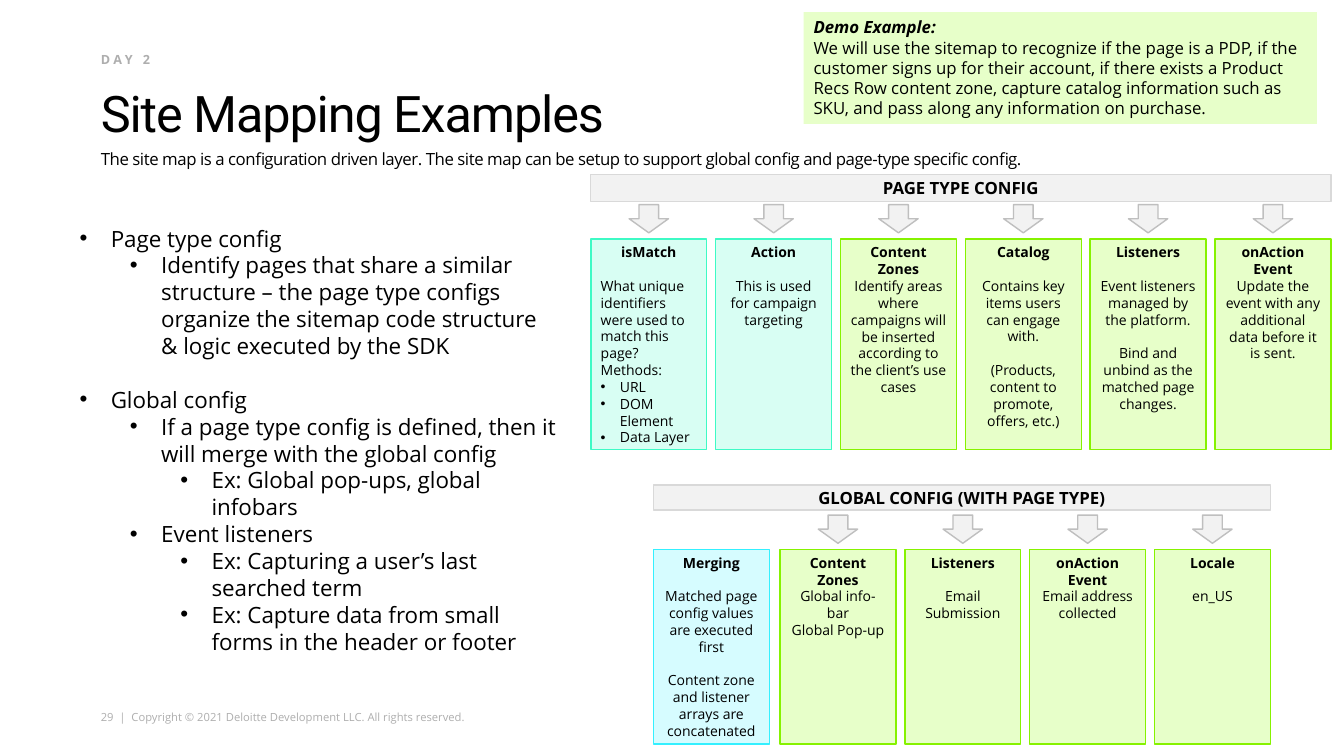
from lxml.etree import SubElement
from pptx import Presentation
from pptx.dml.color import RGBColor
from pptx.enum.shapes import MSO_SHAPE
from pptx.enum.text import MSO_ANCHOR, PP_ALIGN
from pptx.oxml.ns import qn
from pptx.util import Inches, Pt

MINT, LIME, CYAN = ("D8FEF3", "3EFAC5"), ("E7FFC9", "86F200"), ("D6FCFF", "34F0FF")
BAND, ARROW = ("F2F2F2", "D9D9D9"), ("F2F2F2", "BFBFBF")
GAP = {"before": 12}
LEFT = {"align": PP_ALIGN.LEFT}
BULLET = {**LEFT, "level": 0, "indent": 0.19, "hang": 0.19}
LEVELS = [{"level": level, "indent": 0.31 + 0.5 * level, "hang": 0.31} for level in range(3)]

HEADINGS = [
    ((1, 0.51, 3.67, 0.22), "DAY 2", {"size": 9, "color": "AEAEAE", "bold": True, "tracking": 2.5}),
    ((1, 0.76, 11.33, 0.65), "Site Mapping Examples",
     {"size": 36, "font": "Roboto", "tracking": -0.8, "spacing": 0.8, "anchor": MSO_ANCHOR.BOTTOM,
      "margins": (0, 0.05, 0, 0)}),
    ((1, 1.48, 11.33, 0.52),
     "The site map is a configuration driven layer. The site map can be setup to support "
     "global config and page-type specific config.", {"size": 12, "tracking": -0.3}),
    ((1, 7.05, 3.66, 0.13), "29  |  Copyright © 2021 Deloitte Development LLC. All rights reserved.",
     {"size": 8, "color": "AEAEAE", "wrap": False}),
]
OUTLINE = [
    ("Page type config", LEVELS[0]),
    ("Identify pages that share a similar structure – the page type configs organize "
     "the sitemap code structure & logic executed by the SDK", LEVELS[1]),
    ("Global config", {**LEVELS[0], "before": 19.2}),
    ("If a page type config is defined, then it will merge with the global config", LEVELS[1]),
    ("Ex: Global pop-ups, global infobars", LEVELS[2]),
    ("Event listeners", LEVELS[1]),
    ("Ex: Capturing a user’s last searched term", LEVELS[2]),
    ("Ex: Capture data from small forms in the header or footer", LEVELS[2]),
]
DEMO = [
    ("Demo Example:", {"bold": True, "italic": True}),
    ("We will use the sitemap to recognize if the page is a PDP, if the customer signs up for "
     "their account, if there exists a Product Recs Row content zone, capture catalog information "
     "such as SKU, and pass along any information on purchase.", {}),
]
PAGE_CARDS = [
    ("isMatch", MINT, [
        ("What unique identifiers were used to match this page?", {**LEFT, **GAP}),
        ("Methods:", LEFT), ("URL", BULLET), ("DOM Element", BULLET), ("Data Layer", BULLET)]),
    ("Action", MINT, [("This is used for campaign targeting", GAP)]),
    ("Content Zones", LIME, [
        ("Identify areas where campaigns will be inserted according to the client’s use cases", {})]),
    ("Catalog", LIME, [
        ("Contains key items users can engage with.", GAP),
        ("(Products, content to promote, offers, etc.)", GAP)]),
    ("Listeners", LIME, [
        ("Event listeners managed by the platform.", GAP),
        ("Bind and unbind as the matched page changes.", GAP)]),
    ("onAction Event", LIME, [("Update the event with any additional data before it is sent.", {})]),
]
GLOBAL_CARDS = [
    ("Merging", CYAN, [
        ("Matched page config values are executed first", GAP),
        ("Content zone and listener arrays are concatenated", GAP)]),
    ("Content Zones", LIME, [("Global info-bar", {}), ("Global Pop-up", {})]),
    ("Listeners", LIME, [("Email Submission", GAP)]),
    ("onAction Event", LIME, [("Email address collected", {})]),
    ("Locale", LIME, [("en_US", GAP)]),
]
GROUPS = [
    {"title": "PAGE TYPE CONFIG", "band": (5.86, 1.73, 7.34, 0.27), "card_top": 2.37,
     "card_height": 2.09, "cards": PAGE_CARDS, "first_arrow": 0},
    {"title": "GLOBAL CONFIG (WITH PAGE TYPE)", "band": (6.48, 4.81, 6.12, 0.25), "card_top": 5.45,
     "card_height": 1.93, "cards": GLOBAL_CARDS, "first_arrow": 1},
]
CARD_WIDTH, CARD_PITCH = 1.15, 1.238
ARROW_LENGTH, ARROW_SPAN, ARROW_RISE = 0.28, 0.39, 0.2


def color(value):
    return RGBColor.from_string(value)


def add_paragraph(paragraph, content, size=10, font="Open Sans", color_hex="000000", bold=False,
                  italic=False, tracking=0, align=PP_ALIGN.LEFT, before=0, spacing=None,
                  level=0, indent=0, hang=0):
    properties = paragraph._p.get_or_add_pPr()
    if hang:
        properties.set("marL", str(Inches(indent)))
        properties.set("indent", str(-Inches(hang)))
        SubElement(properties, qn("a:buFont"), typeface="Arial")
        SubElement(properties, qn("a:buChar"), char="•")
    paragraph.level, paragraph.alignment = level, align
    paragraph.space_before = Pt(before)
    if spacing:
        paragraph.line_spacing = spacing
    run = paragraph.add_run()
    run.text = content
    run.font.size, run.font.name = Pt(size), font
    run.font.bold, run.font.italic = bold, italic
    run.font.color.rgb = color(color_hex)
    if tracking:
        run._r.get_or_add_rPr().set("spc", str(round(tracking * 100)))


def write(shape, paragraphs, anchor=MSO_ANCHOR.TOP, margins=(0.1, 0.05, 0.1, 0.05), wrap=True,
          color="000000", **style):
    frame = shape.text_frame
    frame.word_wrap, frame.vertical_anchor = wrap, anchor
    frame.margin_left, frame.margin_top, frame.margin_right, frame.margin_bottom = map(Inches, margins)
    for index, (content, override) in enumerate(paragraphs):
        paragraph = frame.add_paragraph() if index else frame.paragraphs[0]
        add_paragraph(paragraph, content, **{"color_hex": color, **style, **override})


def add_box(slide, box, fill, line=None, kind=MSO_SHAPE.RECTANGLE):
    shape = slide.shapes.add_shape(kind, *map(Inches, box))
    shape.shadow.inherit = False
    shape.fill.solid()
    shape.fill.fore_color.rgb = color(fill)
    if line:
        shape.line.color.rgb = color(line)
        shape.line.width = Pt(1)
    else:
        shape.line.fill.background()
    return shape


def add_group(slide, title, band, card_top, card_height, cards, first_arrow):
    write(add_box(slide, band, *BAND), [(title, {})], size=12, bold=True,
          align=PP_ALIGN.CENTER, anchor=MSO_ANCHOR.MIDDLE)
    last_left = band[0] + band[2] - CARD_WIDTH
    for index, (name, colors, details) in enumerate(cards):
        left = last_left - (len(cards) - 1 - index) * CARD_PITCH if index else band[0]
        card = add_box(slide, (left, card_top, CARD_WIDTH, card_height), *colors)
        write(card, [(name, {"bold": True}), *details], align=PP_ALIGN.CENTER)
        if index >= first_arrow:
            arrow_box = (left + (CARD_WIDTH - ARROW_LENGTH) / 2,
                         card_top - ARROW_RISE - ARROW_SPAN / 2, ARROW_LENGTH, ARROW_SPAN)
            add_box(slide, arrow_box, *ARROW, kind=MSO_SHAPE.RIGHT_ARROW).rotation = 90


def main():
    """Build the site mapping slide."""
    presentation = Presentation()
    presentation.slide_width, presentation.slide_height = Inches(13.33), Inches(7.5)
    slide = presentation.slides.add_slide(presentation.slide_layouts[6])
    for box, content, style in HEADINGS:
        heading = slide.shapes.add_textbox(*map(Inches, box))
        write(heading, [(content, {})], **{"margins": (0, 0, 0, 0), **style})
    outline = slide.shapes.add_textbox(*map(Inches, (0.69, 2.18, 4.95, 4.41)))
    write(outline, OUTLINE, size=16)
    for group in GROUPS:
        add_group(slide, **group)
    write(add_box(slide, (7.97, 0.12, 5.09, 1.11), LIME[0]), DEMO, size=12)
    presentation.save("out.pptx")


if __name__ == "__main__":
    main()
